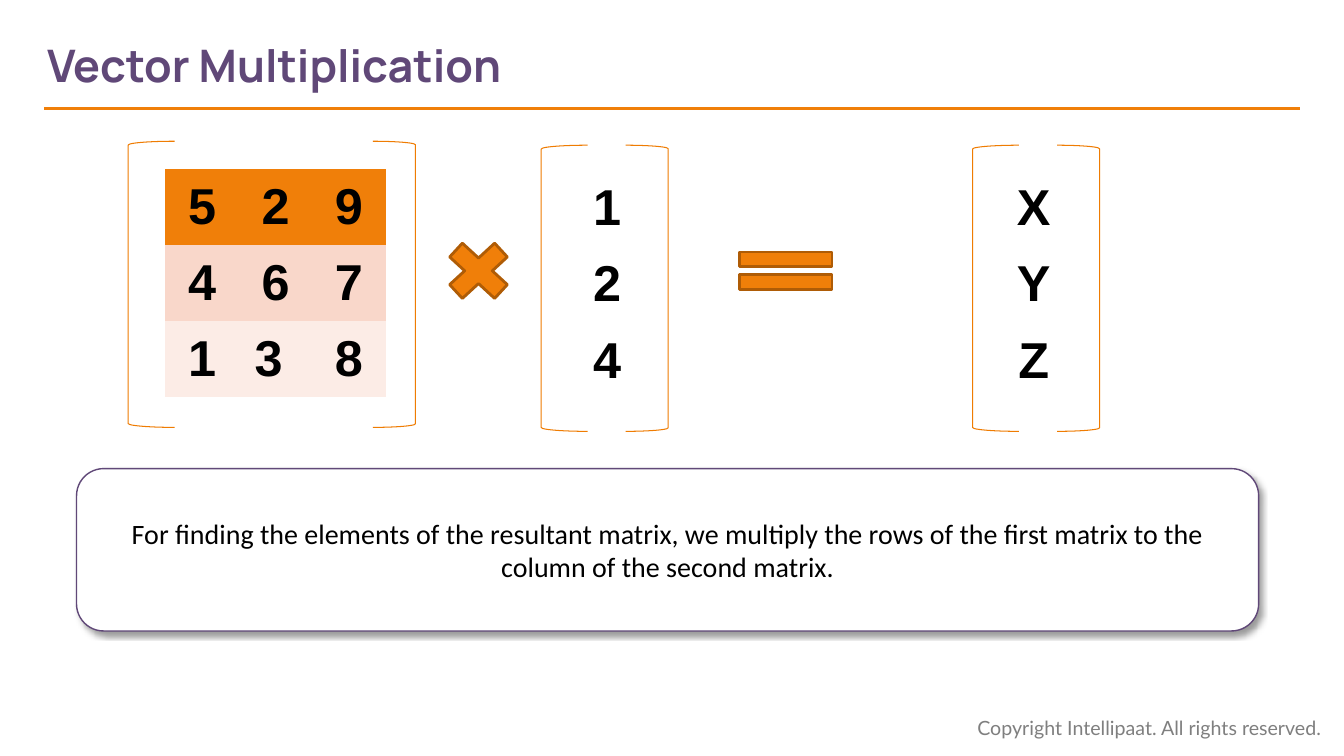
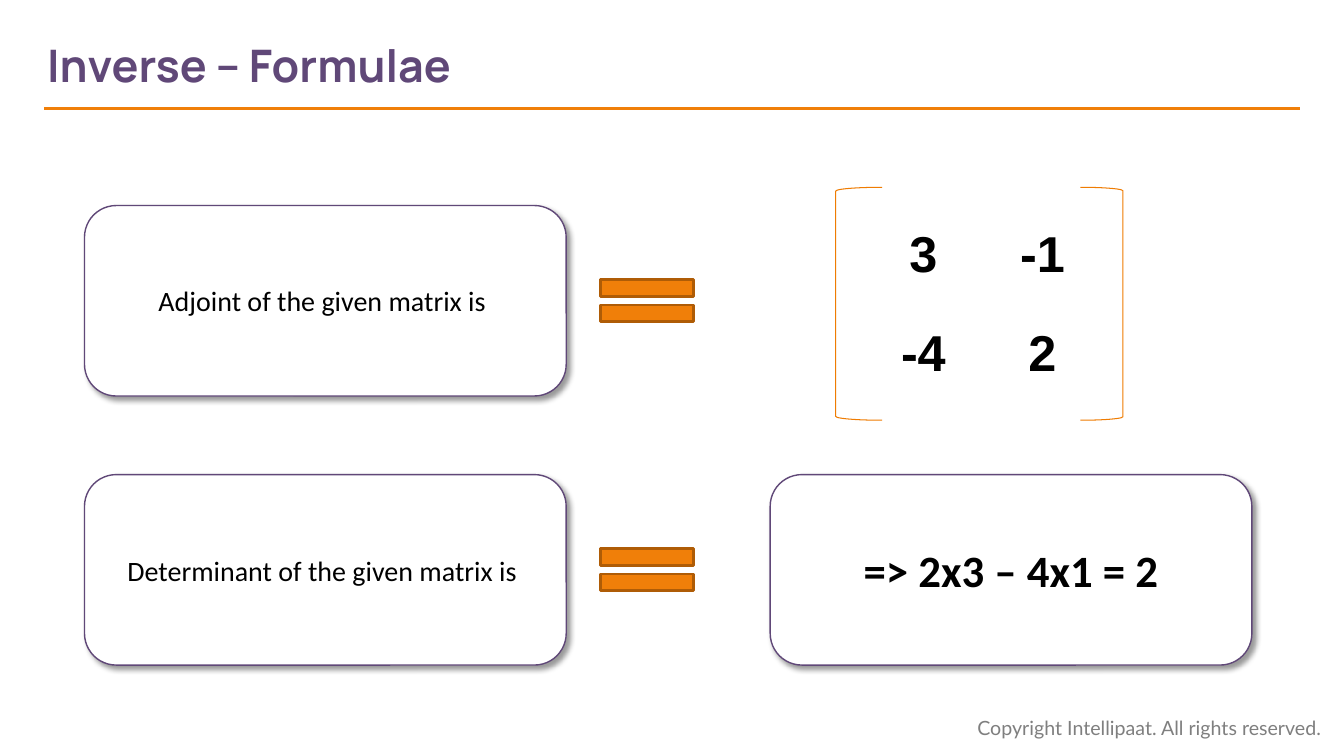
from lxml import etree
from pptx import Presentation
from pptx import util as u
from pptx.dml.color import RGBColor
from pptx.enum import shapes, text
from pptx.oxml import ns, parse_xml

COLOURS = {
    "purple": "604878", "orange": "F07F09", "dark orange": "AF5C06",
    "bracket": "EF7C02", "peach": "F9D7CA", "pale peach": "FCECE6",
    "white": "FFFFFF", "black": "000000", "grey": "7F7F7F",
}
FONTS = {
    "title": {"name": "Manrope", "size": u.Pt(32), "bold": True},
    "footer": {"name": "Lato", "size": u.Pt(14), "bold": False},
    "matrix": {"name": "Arial", "size": u.Pt(36), "bold": True},
    "body": {"name": "Calibri", "size": u.Pt(20), "bold": False},
    "result": {"name": "Calibri", "size": u.Pt(32), "bold": True},
}
SHADOW = (
    f'<a:outerShdw {ns.nsdecls("a")} blurRad="{u.Pt(4)}" dist="{u.Pt(3)}" '
    'dir="2700000" algn="tl" rotWithShape="0"><a:srgbClr val="000000">'
    '<a:alpha val="40000"/></a:srgbClr></a:outerShdw>'
)
PLAIN_TABLE = "{2D5ABB26-0587-4C30-8999-92F81FD0307C}"
BRACKET_WIDTHS = (1.17, 1.07)
BRACKET_CURVE = 0.083
SHAPE = shapes.MSO_SHAPE


def colour(name):
    return RGBColor.from_string(COLOURS[name])


class Deck:
    """The deck's style and the page being drawn; lengths are in centimetres."""

    def __init__(self):
        self.deck = Presentation()
        self.deck.slide_width, self.deck.slide_height = u.Cm(33.87), u.Cm(19.05)
        self.page = None

    def new_page(self, title):
        self.page = self.deck.slides.add_slide(self.deck.slide_layouts[6])
        self.label("Copyright Intellipaat. All rights reserved.",
                   (24.38, 17.91, 9.32, 0.86), "footer", "grey")
        self.rule(1.12, 32.77, 2.74)
        self.label(title, (1.19, 0.56, 24.05, 2.13), "title", "purple",
                   margin_left=0, vertical_anchor=text.MSO_ANCHOR.MIDDLE)

    def add_words(self, frame, words, font, ink="black",
                  align=text.PP_ALIGN.CENTER):
        para = frame.paragraphs[0]
        para.alignment = align
        span = para.add_run()
        span.text = words
        for key, value in FONTS[font].items():
            setattr(span.font, key, value)
        span.font.color.rgb = colour(ink)

    def label(self, words, place, font, ink, **frame_format):
        frame = self.page.shapes.add_textbox(*map(u.Cm, place)).text_frame
        for key, value in {"word_wrap": True, **frame_format}.items():
            setattr(frame, key, value)
        self.add_words(frame, words, font, ink, text.PP_ALIGN.LEFT)

    def rule(self, left, right, top):
        line = self.page.shapes.add_connector(
            shapes.MSO_CONNECTOR.STRAIGHT, *map(u.Cm, (left, top, right, top)))
        line.line.color.rgb = colour("orange")
        line.line.width = u.Pt(2.25)
        etree.SubElement(line._element.spPr, ns.qn("a:effectLst"))

    def shape(self, kind, place, fill, edge, width, adjust=()):
        shape = self.page.shapes.add_shape(kind, *map(u.Cm, place))
        shape.shadow.inherit = False
        if fill:
            shape.fill.solid()
            shape.fill.fore_color.rgb = colour(fill)
        else:
            shape.fill.background()
        shape.line.color.rgb = colour(edge)
        shape.line.width = u.Pt(width)
        for index, value in enumerate(adjust):
            shape.adjustments[index] = value
        return shape

    def sign(self, kind, place):
        self.shape(kind, place, "orange", "dark orange", 2)

    def card(self, words, place, font="body"):
        """Draw a rounded box with a soft shadow and centred text."""
        box = self.shape(SHAPE.ROUNDED_RECTANGLE, place, "white", "purple", 1)
        box._element.spPr.find(ns.qn("a:effectLst")).append(parse_xml(SHADOW))
        frame = box.text_frame
        frame.word_wrap = True
        frame.vertical_anchor = text.MSO_ANCHOR.MIDDLE
        self.add_words(frame, words, font)

    def brackets(self, left, top, width, height):
        left_width, right_width = BRACKET_WIDTHS
        for kind, x, bracket_width in (
                (SHAPE.LEFT_BRACKET, left, left_width),
                (SHAPE.RIGHT_BRACKET, left + width - right_width, right_width)):
            self.shape(kind, (x, top, bracket_width, height), None, "bracket",
                       0.75, [BRACKET_CURVE])

    def matrix(self, rows, bracket_place, corner, cell_size, fills=()):
        """Draw a bracketed table; fills holds one colour name per row."""
        self.brackets(*bracket_place)
        width, height = cell_size
        size = (width * len(rows[0]), height * len(rows))
        table = self.page.shapes.add_table(
            len(rows), len(rows[0]), *map(u.Cm, corner + size)).table
        table.first_row = table.horz_banding = False
        table._tbl.tblPr.find(ns.qn("a:tableStyleId")).text = PLAIN_TABLE
        for column in table.columns:
            column.width = u.Cm(width)
        for y, values in enumerate(rows):
            table.rows[y].height = u.Cm(height)
            for x, value in enumerate(values):
                cell = table.cell(y, x)
                cell.vertical_anchor = text.MSO_ANCHOR.MIDDLE
                if fills:
                    cell.fill.solid()
                    cell.fill.fore_color.rgb = colour(fills[y])
                else:
                    cell.fill.background()
                self.add_words(cell.text_frame, value, "matrix")


def vector_multiplication(deck):
    deck.new_page("Vector Multiplication")
    deck.matrix(["529", "467", ["1", "3 ", "8"]], (3.23, 3.56, 7.24, 7.21),
                (4.17, 4.27), (1.85, 1.91),
                ["orange", "peach", "pale peach"])
    deck.sign(SHAPE.MATH_MULTIPLY, (10.97, 5.82, 2.18, 2.01))
    for column, left, table_left in (("124", 13.64, 14.6), ("XYZ", 24.51, 25.35)):
        deck.matrix(list(column), (left, 3.66, 3.2, 7.21),
                    (table_left, 4.27), (1.4, 1.93))
    deck.sign(SHAPE.MATH_EQUAL, (18.21, 6.02, 3.18, 1.6))
    deck.card("For finding the elements of the resultant matrix, we multiply the "
              "rows of the first matrix to the column of the second matrix.",
              (1.93, 11.81, 29.79, 4.09))


def inverse_formulae(deck):
    deck.new_page("Inverse – Formulae")
    card_size = (12.14, 4.8)
    adjoint_top, determinant_top = 5.18, 11.96
    for name, top in (("Adjoint", adjoint_top), ("Determinant", determinant_top)):
        deck.card(f"{name} of the given matrix is ", (2.13, top) + card_size)
        deck.sign(SHAPE.MATH_EQUAL, (14.71, top + 1.5, 3.2, 1.8))
    deck.matrix([["3", "-1"], ["-4", "2"]], (21.06, 4.72, 7.24, 5.87),
                (21.77, adjoint_top), (3, 2.49))
    deck.card("=> 2x3 – 4x1 = 2", (19.41, determinant_top) + card_size, "result")


def main():
    deck = Deck()
    vector_multiplication(deck)
    inverse_formulae(deck)
    deck.deck.save("out.pptx")


if __name__ == "__main__":
    main()
